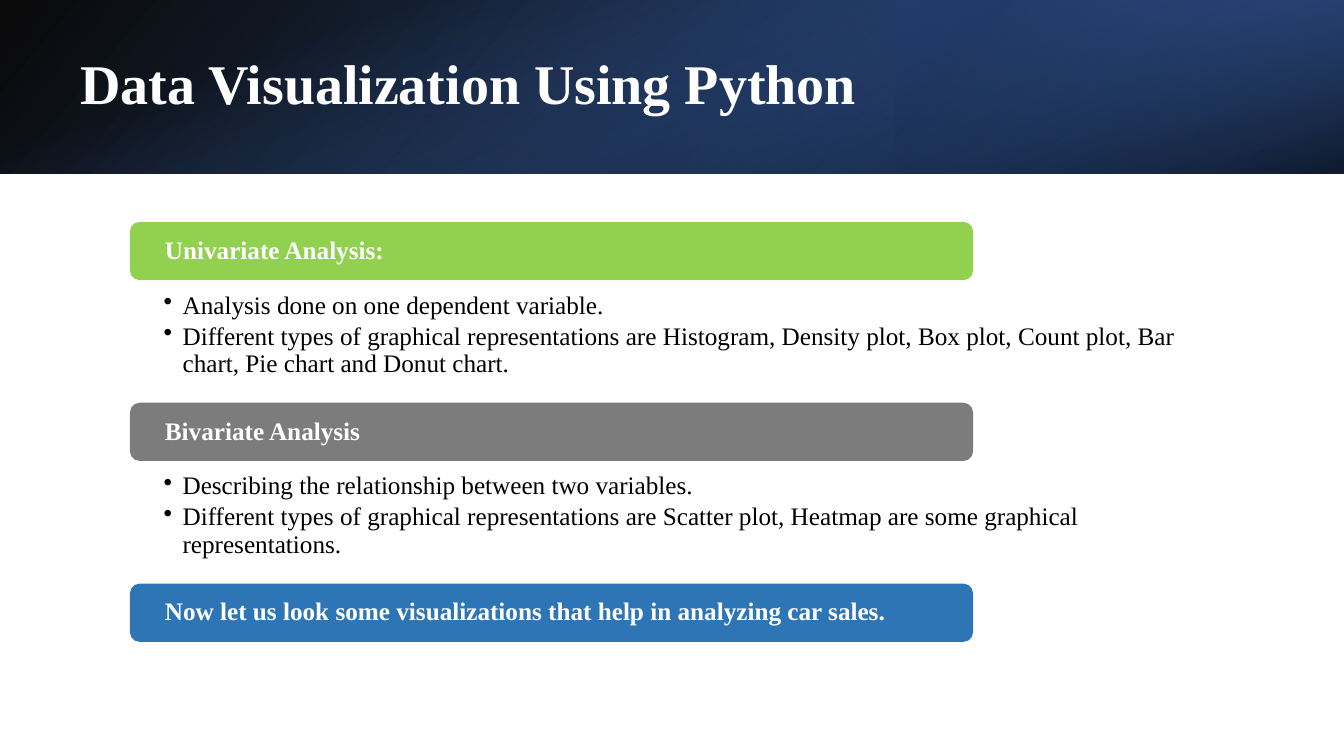
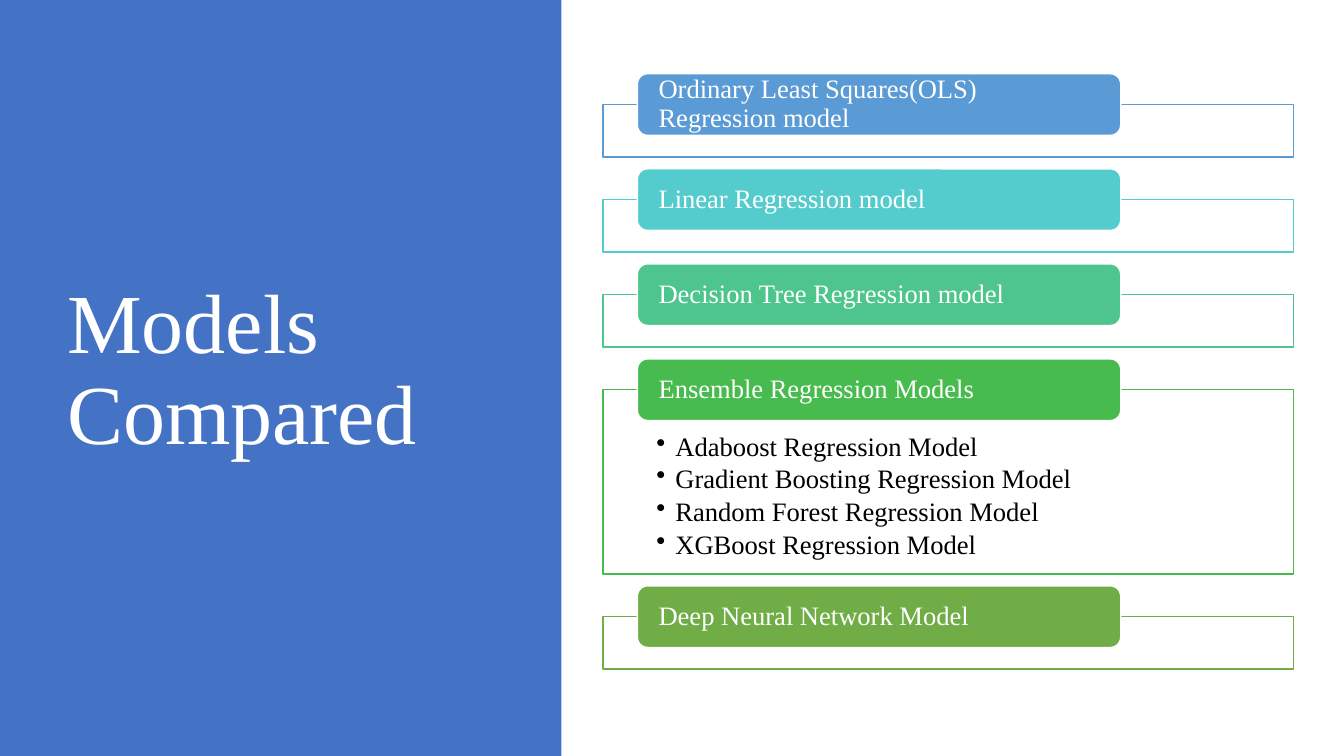
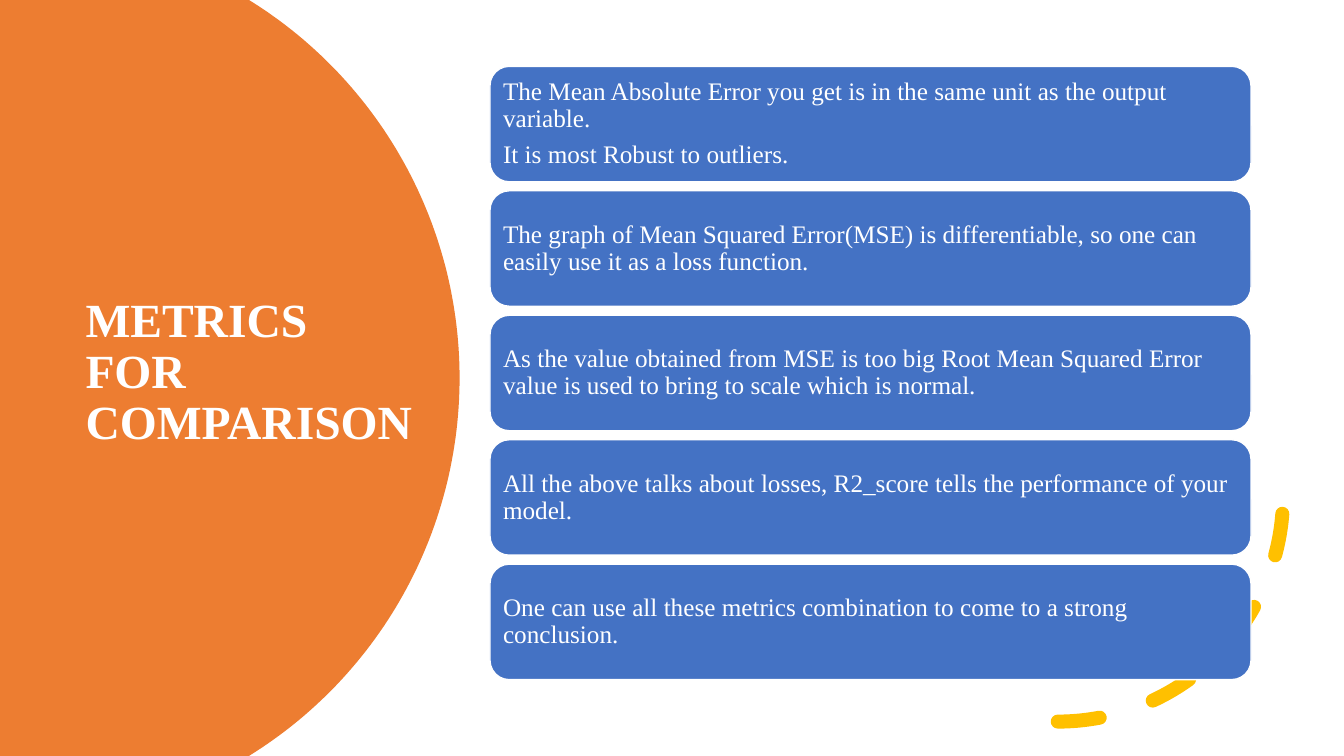
from dataclasses import dataclass
from math import asin, cos, sin
from typing import Any

from lxml.etree import SubElement
from pptx import Presentation
from pptx.dml.color import RGBColor
from pptx.enum.dml import MSO_LINE
from pptx.enum.shapes import MSO_SHAPE
from pptx.enum.text import MSO_ANCHOR, PP_ALIGN
from pptx.oxml.ns import qn
from pptx.util import Pt

# Shared look
FONT = "Times New Roman"
SLIDE_W, SLIDE_H = 960, 540
WHITE = RGBColor(0xFF, 0xFF, 0xFF)
BLACK = RGBColor(0x00, 0x00, 0x00)
NAVY = RGBColor(0x20, 0x38, 0x64)
DARK_BLUE = RGBColor(0x2F, 0x55, 0x97)
BLUE = RGBColor(0x44, 0x72, 0xC4)
ORANGE = RGBColor(0xED, 0x7D, 0x31)
GOLD = RGBColor(0xFF, 0xC0, 0x00)
LIME = RGBColor(0x92, 0xD0, 0x50)
GREY = RGBColor(0x7C, 0x7C, 0x7C)
STEEL = RGBColor(0x2E, 0x75, 0xB6)
SKY = RGBColor(0x5B, 0x9B, 0xD5)
TEAL = RGBColor(0x54, 0xCC, 0xCD)
MINT = RGBColor(0x4D, 0xC5, 0x8D)
GREEN = RGBColor(0x48, 0xBB, 0x4F)
OLIVE = RGBColor(0x70, 0xAD, 0x47)

LINE_SPACING = 0.9
BULLET_INDENT = 13.6
BULLET_GAP, PARAGRAPH_GAP = 0.15, 0.35  # share of the text size
TITLE_INSETS = (7.2, 3.6, 7.2, 3.6)

Box = tuple[float, float, float, float]


@dataclass(frozen=True)
class TextStyle:
    size: float
    color: RGBColor = WHITE
    bold: bool = False
    bulleted: bool = False
    anchor: MSO_ANCHOR = MSO_ANCHOR.MIDDLE
    insets: Box = TITLE_INSETS


@dataclass(frozen=True)
class GradientLayer:
    box: Box
    rotation: float
    flipped: bool
    angle: float
    stops: tuple[tuple[float, RGBColor, int], ...]  # position, colour, opacity %


@dataclass(frozen=True)
class Section:
    heading: str
    color: RGBColor
    frame_height: float
    bullets: tuple[str, ...] = ()


@dataclass(frozen=True)
class SectionLayout:
    left: float
    top: float
    width: float
    tab_height: float
    gap: float
    framed: bool
    heading: TextStyle
    body: TextStyle


# Slide 1
HEADER_H = 124
HEADER_LAYERS = (
    GradientLayer((0, 0, SLIDE_W, HEADER_H), 0, True, 220,
                  ((0, BLACK, 96), (1, DARK_BLUE, 100))),
    GradientLayer((SLIDE_W * 2 / 3, 0, SLIDE_W / 3, HEADER_H), 180, True, 40,
                  ((0.19, NAVY, 68), (1, BLUE, 79))),
    GradientLayer(((SLIDE_W - HEADER_H) / 2, (HEADER_H - SLIDE_W) / 2, HEADER_H, SLIDE_W),
                  90, False, 20, ((0.23, BLUE, 0), (0.99, BLACK, 74))),
)
ANALYSIS_LAYOUT = SectionLayout(
    left=49.8, top=158.5, width=860.4, tab_height=41.6, gap=7.6, framed=False,
    heading=TextStyle(18, bold=True, insets=(23, 0, 23, 0)),
    body=TextStyle(18, BLACK, bulleted=True, anchor=MSO_ANCHOR.TOP, insets=(67, 29.5, 67, 10)),
)
ANALYSES = (
    Section("Univariate Analysis:", LIME, 100.8, (
        "Analysis done on one dependent variable.",
        "Different types of graphical representations are Histogram, Density plot, "
        "Box plot, Count plot, Bar chart, Pie chart and Donut chart.")),
    Section("Bivariate Analysis", GREY, 100.8, (
        "Describing the relationship between two variables.",
        "Different types of graphical representations are Scatter plot, Heatmap "
        "are some graphical representations.")),
    Section("Now let us look some visualizations that help in analyzing car sales.",
            STEEL, 36),
)

# Slide 2
MODEL_LAYOUT = SectionLayout(
    left=430.6, top=52.7, width=493.2, tab_height=44, gap=8.5, framed=True,
    heading=TextStyle(19, insets=(13, 0, 16, 0)),
    body=TextStyle(19, BLACK, bulleted=True, anchor=MSO_ANCHOR.TOP, insets=(38.2, 31, 38.2, 10)),
)
MODELS = (
    Section("Ordinary Least Squares(OLS) Regression model", SKY, 37.4),
    Section("Linear Regression model", TEAL, 37.4),
    Section("Decision Tree Regression model", MINT, 37.4),
    Section("Ensemble Regression Models", GREEN, 131.6, (
        "Adaboost Regression Model",
        "Gradient Boosting Regression Model",
        "Random Forest Regression Model",
        "XGBoost Regression Model")),
    Section("Deep Neural Network Model", OLIVE, 37.4),
)

# Slide 3
METRIC_STYLE = TextStyle(18, insets=(5.3, 5.3, 5.3, 5.3))
METRIC_BOX: Box = (350, 47.4, 543.6, 82.5)
METRIC_PITCH = 88.9
METRICS = (
    ("The Mean Absolute Error you get is in the same unit as the output variable.",
     "It is most Robust to outliers."),
    ("The graph of Mean Squared Error(MSE) is differentiable, so one can easily use it "
     "as a loss function.",),
    ("As the value obtained from MSE is too big Root Mean Squared Error value is used "
     "to bring to scale which is normal.",),
    ("All the above talks about losses, R2_score tells the performance of your model.",),
    ("One can use all these metrics combination to come to a strong conclusion.",),
)
DISC_X, DISC_RADIUS, DISC_STEPS = 10.8, 317.5, 120


def set_attributes(target: Any, values: dict[str, Any]) -> None:
    for name, value in values.items():
        setattr(target, name, value)


def write(shape: Any, lines: tuple[str, ...], style: TextStyle) -> None:
    left, top, right, bottom = style.insets
    frame = shape.text_frame
    set_attributes(frame, {
        "word_wrap": True, "vertical_anchor": style.anchor,
        "margin_left": Pt(left), "margin_top": Pt(top),
        "margin_right": Pt(right), "margin_bottom": Pt(bottom)})
    gap = BULLET_GAP if style.bulleted else PARAGRAPH_GAP
    for index, line in enumerate(lines):
        paragraph = frame.add_paragraph() if index else frame.paragraphs[0]
        set_attributes(paragraph, {
            "alignment": PP_ALIGN.LEFT, "line_spacing": LINE_SPACING,
            "space_after": Pt(gap * style.size)})
        if style.bulleted:
            properties = paragraph._p.get_or_add_pPr()
            properties.set("marL", str(Pt(BULLET_INDENT)))
            properties.set("indent", str(-Pt(BULLET_INDENT)))
            SubElement(properties, qn("a:buChar")).set("char", "•")
        run = paragraph.add_run()
        run.text = line
        set_attributes(run.font, {"name": FONT, "size": Pt(style.size), "bold": style.bold})
        run.font.color.rgb = style.color


def paint(shape: Any, fill: RGBColor | None, line: RGBColor | None = None,
          line_width: float = 1) -> None:
    shape.shadow.inherit = False
    if fill is None:
        shape.fill.background()
    else:
        shape.fill.solid()
        shape.fill.fore_color.rgb = fill
    if line is None:
        shape.line.fill.background()
    else:
        shape.line.color.rgb = line
        shape.line.width = Pt(line_width)


def add_block(slide: Any, kind: MSO_SHAPE, box: Box, fill: RGBColor | None,
              line: RGBColor | None = None, line_width: float = 1) -> Any:
    block = slide.shapes.add_shape(kind, *(Pt(length) for length in box))
    paint(block, fill, line, line_width)
    return block


def add_title(slide: Any, title: str, box: Box, size: float, bold: bool) -> None:
    holder = slide.shapes.add_textbox(*(Pt(length) for length in box))
    write(holder, (title,), TextStyle(size, bold=bold))


def add_gradient_layer(slide: Any, layer: GradientLayer) -> None:
    band = add_block(slide, MSO_SHAPE.RECTANGLE, layer.box, WHITE)
    band.rotation = layer.rotation
    properties = band._element.spPr
    if layer.flipped:
        properties.find(qn("a:xfrm")).set("flipH", "1")
    band.fill.gradient()
    band.fill.gradient_angle = layer.angle
    for stop, (position, color, _) in zip(band.fill.gradient_stops, layer.stops):
        stop.position = position
        stop.color.rgb = color
    gradient = properties.find(qn("a:gradFill"))
    for color, (_, _, opacity) in zip(gradient.iter(qn("a:srgbClr")), layer.stops):
        SubElement(color, qn("a:alpha")).set("val", str(opacity * 1000))


def add_sections(slide: Any, sections: tuple[Section, ...], layout: SectionLayout) -> None:
    """Stack frames, each with a heading tab set half over its top edge."""
    top = layout.top
    for section in sections:
        frame_top = top + layout.tab_height / 2
        if layout.framed or section.bullets:
            body = add_block(slide, MSO_SHAPE.RECTANGLE,
                             (layout.left, frame_top, layout.width, section.frame_height),
                             WHITE, section.color if layout.framed else None)
            if section.bullets:
                write(body, section.bullets, layout.body)
        tab = add_block(slide, MSO_SHAPE.ROUNDED_RECTANGLE,
                        (layout.left + layout.width * 0.05, top,
                         layout.width * 0.7, layout.tab_height),
                        section.color, WHITE if layout.framed else None)
        write(tab, (section.heading,), layout.heading)
        top = frame_top + section.frame_height + layout.gap


def add_disc(slide: Any) -> None:
    """Draw the part of the large disc that lies on the slide."""
    middle = SLIDE_H / 2
    reach = asin(middle / DISC_RADIUS)
    angles = [reach * (2 * step / DISC_STEPS - 1) for step in range(DISC_STEPS + 1)]
    rim = [(Pt(DISC_X + DISC_RADIUS * cos(angle)), Pt(middle + DISC_RADIUS * sin(angle)))
           for angle in angles]
    outline = slide.shapes.build_freeform(0, 0)
    outline.add_line_segments([*rim, (0, Pt(SLIDE_H))], close=True)
    paint(outline.convert_to_shape(), ORANGE)


def add_dashed_arc(slide: Any) -> None:
    arc = add_block(slide, MSO_SHAPE.ARC, (594.7, 193.7, 321.8, 321.8), None, GOLD, 10)
    arc.line.dash_style = MSO_LINE.DASH
    properties = arc._element.spPr
    properties.find(qn("a:xfrm")).set("flipV", "1")
    properties.find(qn("a:ln")).set("cap", "rnd")


def build_analysis_slide(slide: Any) -> None:
    for layer in HEADER_LAYERS:
        add_gradient_layer(slide, layer)
    add_title(slide, "Data Visualization Using Python", (50.4, 27.4, 790, 69), 40, True)
    add_sections(slide, ANALYSES, ANALYSIS_LAYOUT)


def build_models_slide(slide: Any) -> None:
    add_block(slide, MSO_SHAPE.RECTANGLE, (0, 0, 401, SLIDE_H), BLUE)
    add_title(slide, "Models Compared", (41, 49, 299.5, 433.4), 60, False)
    add_sections(slide, MODELS, MODEL_LAYOUT)


def build_metrics_slide(slide: Any) -> None:
    add_disc(slide)
    add_title(slide, "METRICS FOR COMPARISON", (54, 90.7, 250, 351.4), 34, True)
    add_dashed_arc(slide)
    left, top, width, height = METRIC_BOX
    for row, lines in enumerate(METRICS):
        card = add_block(slide, MSO_SHAPE.ROUNDED_RECTANGLE,
                         (left, top + row * METRIC_PITCH, width, height), BLUE, WHITE)
        write(card, lines, METRIC_STYLE)


def main() -> None:
    deck = Presentation()
    set_attributes(deck, {"slide_width": Pt(SLIDE_W), "slide_height": Pt(SLIDE_H)})
    for build in (build_analysis_slide, build_models_slide, build_metrics_slide):
        build(deck.slides.add_slide(deck.slide_layouts[6]))
    deck.save("out.pptx")


if __name__ == "__main__":
    main()
